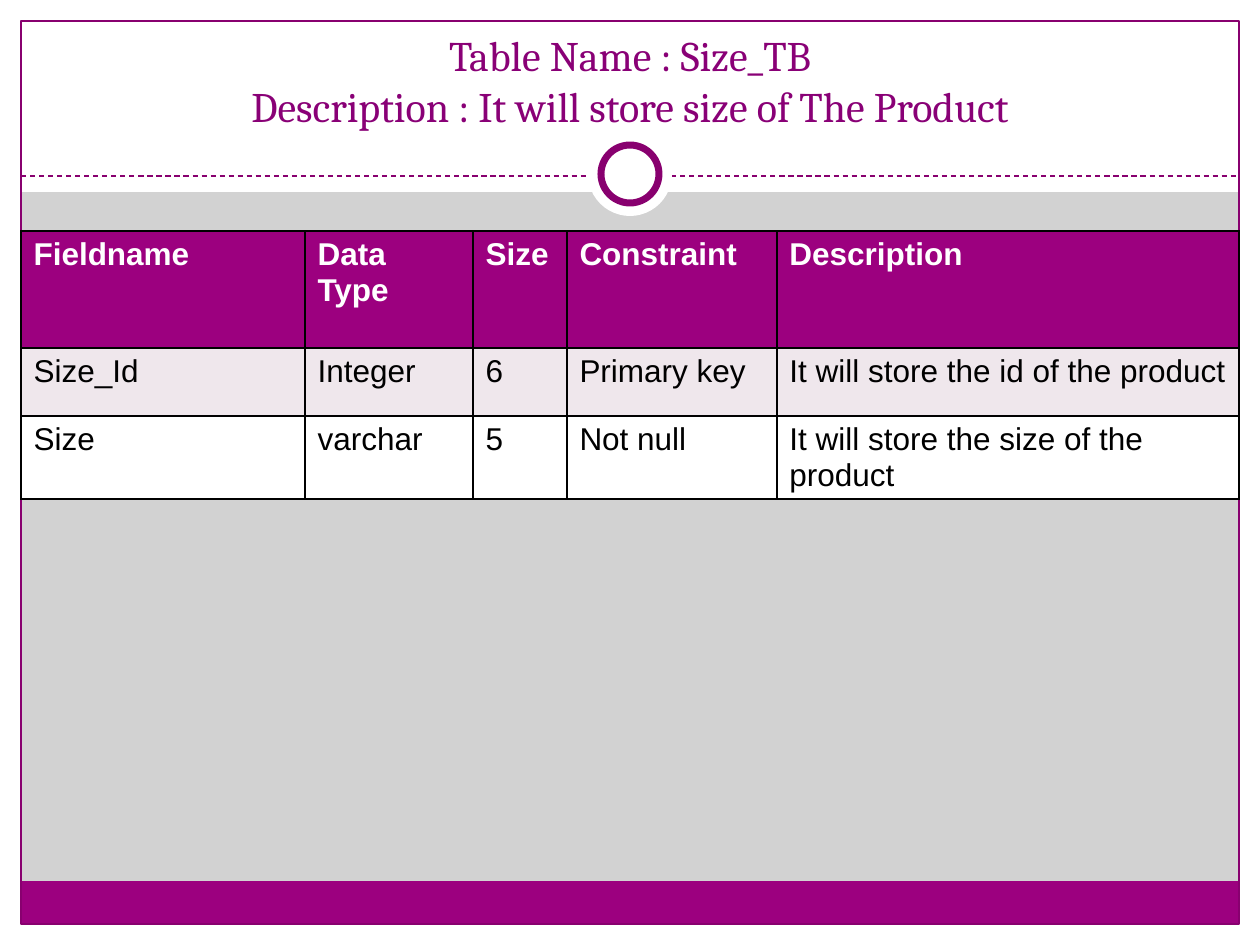
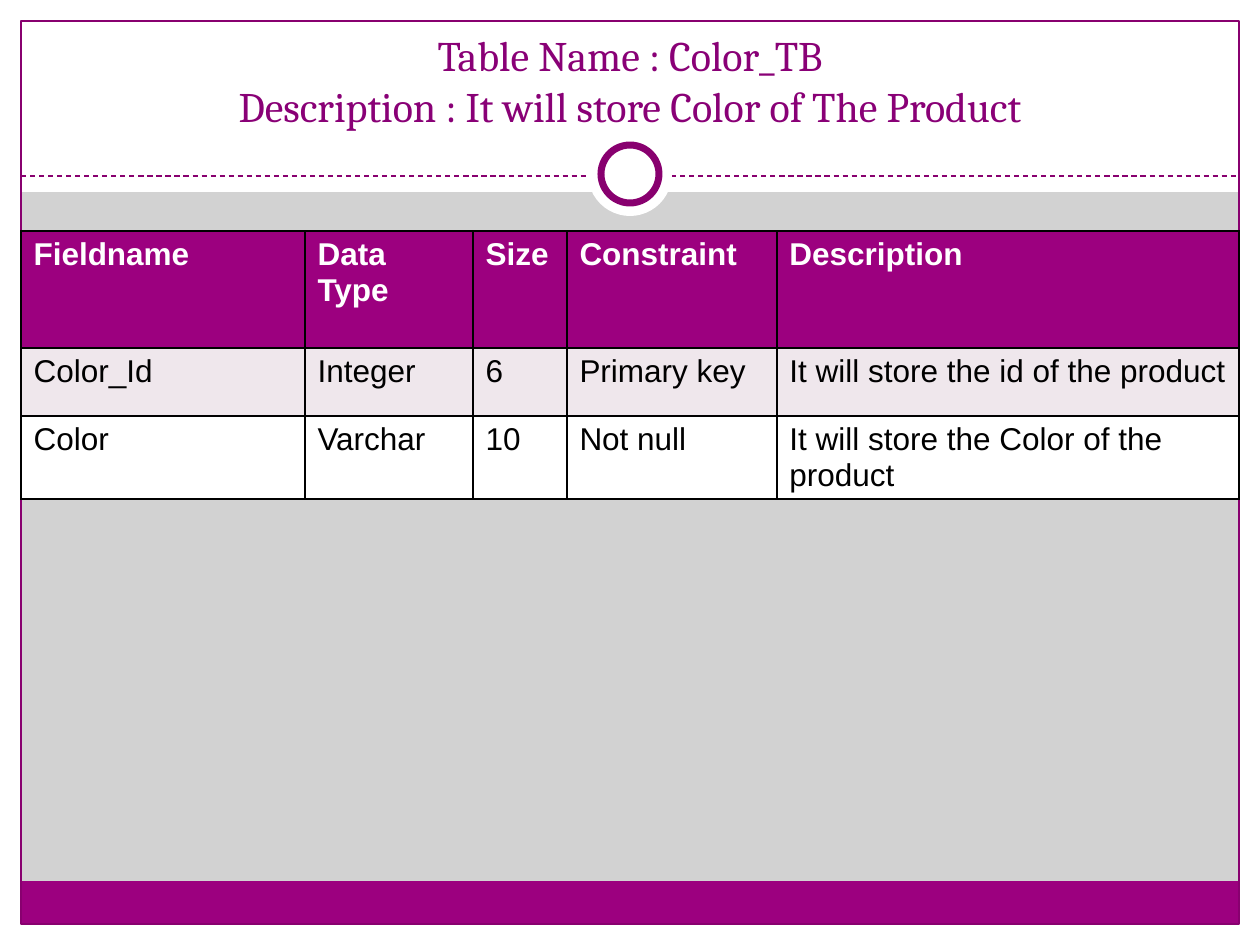
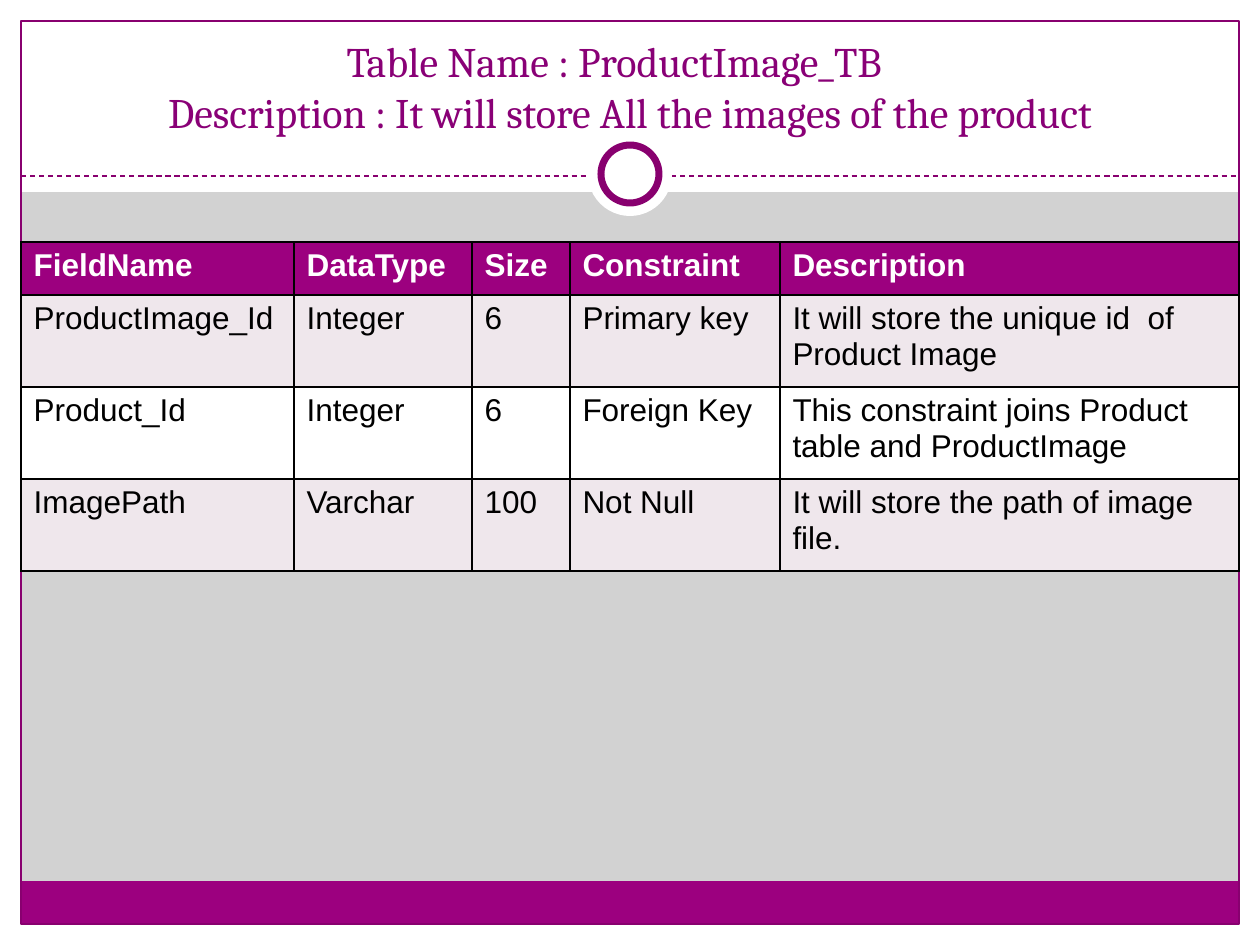
from dataclasses import dataclass

from lxml.etree import SubElement
from pptx import Presentation
from pptx.dml.color import RGBColor as Rgb
from pptx.enum.dml import MSO_LINE_DASH_STYLE as Dash
from pptx.enum.shapes import MSO_CONNECTOR_TYPE as Connector, MSO_SHAPE as Preset
from pptx.enum.text import MSO_ANCHOR as Anchor, MSO_AUTO_SIZE as AutoSize, PP_ALIGN as Align
from pptx.oxml.ns import qn
from pptx.util import Emu, Pt

EMU_PER_PX = 914400 / 126
WIDTH, HEIGHT = 1260, 945
MARGIN, HEADER_HEIGHT, FOOTER_HEIGHT = 21, 192, 43
INNER_WIDTH = WIDTH - 2 * MARGIN
INNER_BOTTOM = HEIGHT - MARGIN
RULE_TOP, RING_CENTER = 176, 174


@dataclass(frozen=True)
class Theme:
    """Colours, fonts and type sizes of the deck."""
    backdrop: str = "D2D2D2"
    paper: str = "FFFFFF"
    accent: str = "9C007F"
    outline: str = "88006F"
    title: str = "890076"
    stripe: str = "EFE7EC"
    ink: str = "000000"
    title_font: str = "Cambria"
    table_font: str = "Arial"
    title_size: int = 24
    table_size: int = 18
    hairline: float = 0.75
    ring_line: float = 4
    cell_line: float = 1


@dataclass(frozen=True)
class TableSpec:
    """Wording and measures of one table page."""
    title: str
    title_box: tuple
    top: int
    columns: tuple
    heights: tuple
    rows: tuple


def px(length):
    """Turn pixels into EMU."""
    return Emu(round(length * EMU_PER_PX))


def color(value):
    """Turn a hex string into a colour."""
    return Rgb.from_string(value)


class TableDeck:
    """Holds the style and the current slide."""

    def __init__(self, theme):
        self.theme = theme
        self.deck = Presentation()
        self.deck.slide_width, self.deck.slide_height = px(WIDTH), px(HEIGHT)
        self.layout = self.deck.slide_layouts.get_by_name("Title Only")
        for holder in list(self.layout.placeholders):
            if holder.placeholder_format.idx:
                holder.element.getparent().remove(holder.element)
        background = self.layout.background.fill
        background.solid()
        background.fore_color.rgb = color(theme.backdrop)
        self.page = None

    def add_page(self):
        """Start a slide; the first one also fills the shared layout."""
        self.page = self.deck.slides.add_slide(self.layout)
        if len(self.deck.slides) == 1:
            self.add_frame()

    def add_shape(self, preset, left, top, width, height, fill=None, line=None, weight=0):
        """Draw a preset shape with an optional fill and outline."""
        shape = self.page.shapes.add_shape(preset, px(left), px(top), px(width), px(height))
        shape.shadow.inherit = False
        if fill:
            shape.fill.solid()
            shape.fill.fore_color.rgb = color(fill)
        else:
            shape.fill.background()
        if line:
            shape.line.color.rgb = color(line)
            shape.line.width = Pt(weight)
        else:
            shape.line.fill.background()

    def add_circle(self, diameter, **style):
        """Draw a circle around the centre of the ring."""
        self.add_shape(Preset.OVAL, (WIDTH - diameter) / 2, RING_CENTER - diameter / 2,
                       diameter, diameter, **style)

    def add_rule(self, left, right, top):
        """Draw a dashed horizontal line."""
        rule = self.page.shapes.add_connector(
            Connector.STRAIGHT, px(left), px(top), px(right), px(top))
        rule.line.color.rgb = color(self.theme.outline)
        rule.line.width = Pt(self.theme.hairline)
        rule.line.dash_style = Dash.DASH
        SubElement(rule.element.spPr, qn("a:effectLst"))

    def add_frame(self):
        """Draw margins, footer, border and ring, then move them to the layout."""
        theme = self.theme
        for margin in ((0, INNER_BOTTOM, WIDTH, MARGIN), (0, 0, WIDTH, HEADER_HEIGHT),
                       (0, 0, MARGIN, HEIGHT), (WIDTH - MARGIN, 0, MARGIN, HEIGHT)):
            self.add_shape(Preset.RECTANGLE, *margin, fill=theme.paper)
        self.add_shape(Preset.RECTANGLE, MARGIN, INNER_BOTTOM - FOOTER_HEIGHT,
                       INNER_WIDTH, FOOTER_HEIGHT, fill=theme.accent)
        self.add_shape(Preset.RECTANGLE, MARGIN, MARGIN, INNER_WIDTH, INNER_BOTTOM - MARGIN,
                       line=theme.outline, weight=theme.hairline)
        self.add_rule(MARGIN, WIDTH - MARGIN, RULE_TOP)
        self.add_circle(84, fill=theme.paper)
        self.add_circle(58, fill=theme.paper, line=theme.outline, weight=theme.ring_line)
        for shape in list(self.page.shapes):
            if not shape.is_placeholder:
                self.layout.shapes.element.append(shape.element)

    def format_text(self, frame, font, size, tint, bold=False):
        """Give every run of a text frame the same type."""
        for para in frame.paragraphs:
            for span in para.runs:
                span.font.name, span.font.size, span.font.bold = font, Pt(size), bold
                span.font.color.rgb = color(tint)

    def add_title(self, text, left, top, width, height):
        """Fill and place the title placeholder."""
        box = self.page.shapes.title
        box.left, box.top, box.width, box.height = map(px, (left, top, width, height))
        frame = box.text_frame
        frame.text = text
        frame.auto_size, frame.word_wrap = AutoSize.NONE, True
        frame.vertical_anchor = Anchor.BOTTOM
        frame.paragraphs[0].alignment = Align.CENTER
        self.format_text(frame, self.theme.title_font, self.theme.title_size, self.theme.title)

    def add_borders(self, cell):
        """Outline a cell on all four sides."""
        properties = cell._tc.get_or_add_tcPr()
        for side in ("lnL", "lnR", "lnT", "lnB"):
            edge = SubElement(properties, qn(f"a:{side}"), w=str(Pt(self.theme.cell_line)))
            fill = SubElement(edge, qn("a:solidFill"))
            SubElement(fill, qn("a:srgbClr"), val=self.theme.ink)

    def add_table(self, top, columns, heights, rows):
        """Draw a table with a header row and striped body rows."""
        theme = self.theme
        table = self.page.shapes.add_table(
            len(rows), len(columns), px(MARGIN), px(top),
            px(sum(columns)), px(sum(heights))).table
        for column, width in zip(table.columns, columns):
            column.width = px(width)
        for index, (row, height, texts) in enumerate(zip(table.rows, heights, rows)):
            header = index == 0
            fill = theme.accent if header else theme.stripe if index % 2 else theme.paper
            row.height = px(height)
            for cell, text in zip(row.cells, texts):
                cell.text_frame.text = text
                self.format_text(cell.text_frame, theme.table_font, theme.table_size,
                                 theme.paper if header else theme.ink, header)
                self.add_borders(cell)
                cell.fill.solid()
                cell.fill.fore_color.rgb = color(fill)


def attribute_table(name, size_type, size):
    """Describe the table of a single product attribute."""
    return TableSpec(
        title=f"Table Name : {name}_TB\vDescription : It will store "
              f"{'size' if name == 'Size' else name} of The Product",
        title_box=(42, 32, 1176, 105),
        top=231,
        columns=(284, 168, 94, 210, 462),
        heights=(117, 68, 68),
        rows=(("Fieldname", "Data Type", "Size", "Constraint", "Description"),
              (f"{name}_Id", "Integer", "6", "Primary key", "It will store the id of the product"),
              (name, size_type, size, "Not null",
               f"It will store the {'size' if name == 'Size' else name} of the product")))


TABLES = (
    attribute_table("Size", "varchar", "5"),
    attribute_table("Color", "Varchar", "10"),
    TableSpec(
        title="Table Name : ProductImage_TB\t\v"
              "Description : It will store All the images of the product",
        title_box=(63, 32, 1134, 111),
        top=242,
        columns=(273, 178, 98, 210, 459),
        heights=(53, 92, 92, 92),
        rows=(("FieldName", "DataType", "Size", "Constraint", "Description"),
              ("ProductImage_Id", "Integer", "6", "Primary key",
               "It will store the unique id  of Product Image"),
              ("Product_Id", "Integer", "6", "Foreign Key",
               "This constraint joins Product table and ProductImage"),
              ("ImagePath", "Varchar", "100", "Not Null",
               "It will store the path of image file."))),
)


def main():
    """Build one page per table and save the deck."""
    builder = TableDeck(Theme())
    for spec_page in TABLES:
        builder.add_page()
        builder.add_title(spec_page.title, *spec_page.title_box)
        builder.add_table(spec_page.top, spec_page.columns, spec_page.heights, spec_page.rows)
    builder.deck.save("out.pptx")


if __name__ == "__main__":
    main()
